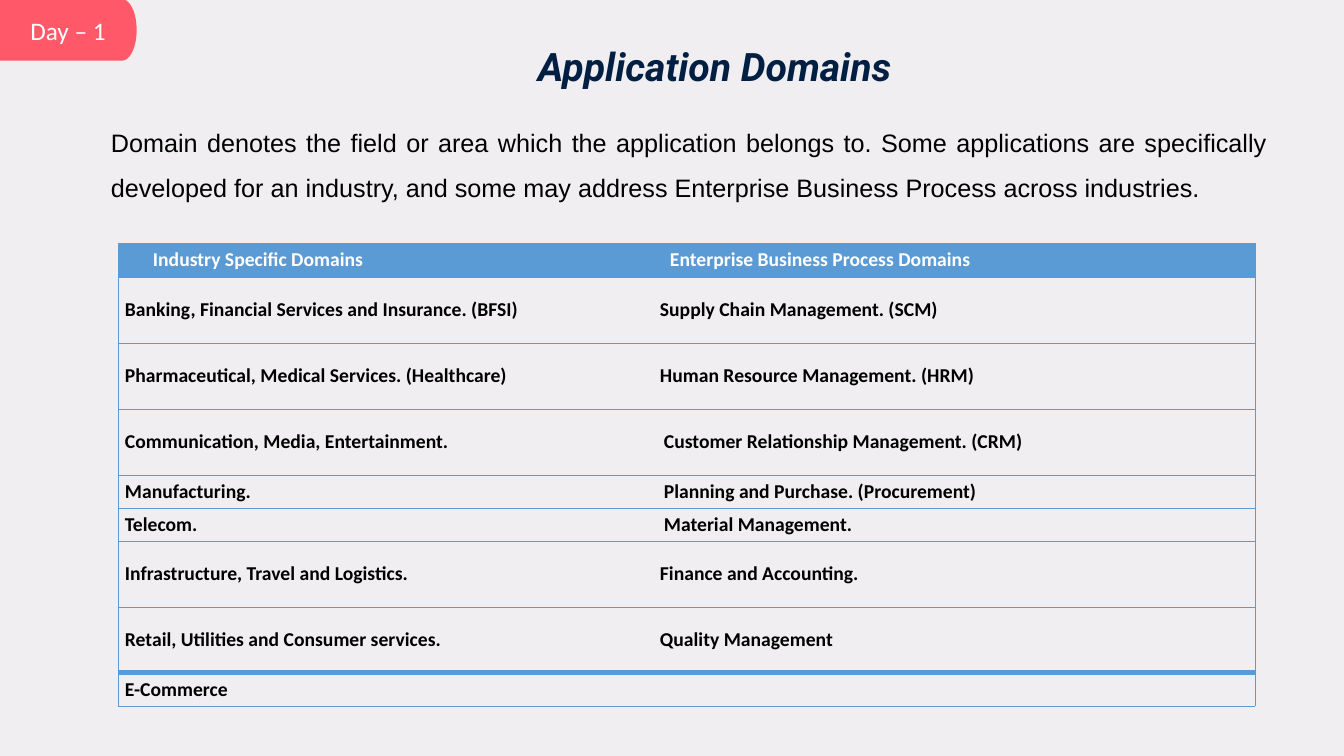
from dataclasses import dataclass
from math import cos, pi, sin

from lxml.etree import SubElement
from pptx import Presentation
from pptx.dml.color import RGBColor
from pptx.enum.text import MSO_ANCHOR, PP_ALIGN
from pptx.oxml.ns import qn
from pptx.util import Emu, Pt

PX_PER_INCH = 100.8


@dataclass(frozen=True)
class Theme:
    background: str = "F0EEF0"
    tab: str = "FF5969"
    title: str = "011F43"
    text: str = "000000"
    light: str = "FFFFFF"
    blue: str = "5B9BD5"
    title_size: int = 28
    body_size: int = 18
    table_size: int = 14
    thin: float = 0.5
    thick: float = 4


T = Theme()

HEADER = ("Industry Specific Domains", "Enterprise Business Process Domains")
HEADER_INDENTS = (35, 13)
COLUMN_WIDTHS = (539, 598)
# row height, industry domain, process domain, process indent
DOMAINS = [
    (66, "Banking, Financial Services and Insurance. (BFSI)", "Supply Chain Management. (SCM)", 3),
    (66, "Pharmaceutical, Medical Services. (Healthcare)", "Human Resource Management. (HRM)", 3),
    (66, "Communication, Media, Entertainment.", "Customer Relationship Management. (CRM)", 7),
    (33, "Manufacturing.", "Planning and Purchase. (Procurement)", 7),
    (33, "Telecom.", "Material Management.", 7),
    (66, "Infrastructure, Travel and Logistics.", "Finance and Accounting.", 3),
    (66, "Retail, Utilities and Consumer services.", "Quality Management", 3),
    (33, "E-Commerce", "", 7),
]


def px(n):
    return Emu(round(n * 914400 / PX_PER_INCH))


def rgb(color):
    return RGBColor.from_string(color)


def write(tf, text, color, font, indent=0, align=PP_ALIGN.LEFT, spacing=None):
    """Fill the first paragraph; font holds the run's format values."""
    p = tf.paragraphs[0]
    p.alignment, p.line_spacing = align, spacing
    p._p.get_or_add_pPr().set("marL", str(px(indent)))
    r = p.add_run()
    r.text = text
    for name, value in font.items():
        setattr(r.font, name, value)
    r.font.color.rgb = rgb(color)


def add_day_tab(slide, x, y, w, h):
    """Tab whose right end is half an ellipse."""
    bulge, steps = 14, 24
    angles = [-pi / 2 + pi * i / steps for i in range(steps + 1)]
    curve = [(px(x + w - bulge + bulge * cos(a)), px(y + h / 2 + h / 2 * sin(a)))
             for a in angles]
    builder = slide.shapes.build_freeform(px(x), px(y))
    builder.add_line_segments(curve + [(px(x), px(y + h))], close=True)
    sp = builder.convert_to_shape()
    sp.shadow.inherit = False
    sp.fill.solid()
    sp.fill.fore_color.rgb = sp.line.color.rgb = rgb(T.tab)
    sp.line.width = Pt(1)
    sp.text_frame.vertical_anchor = MSO_ANCHOR.MIDDLE
    write(sp.text_frame, "Day – 1", T.light,
          {"name": "Calibri", "size": Pt(T.body_size)}, align=PP_ALIGN.CENTER)


def add_text(slide, x, y, w, h, *args, **kwargs):
    tf = slide.shapes.add_textbox(px(x), px(y), px(w), px(h)).text_frame
    tf.word_wrap = True
    write(tf, *args, **kwargs)


def set_borders(cell, widths):
    """Draw left, right, top and bottom borders; a width of 0 hides one."""
    tcPr = cell._tc.get_or_add_tcPr()
    for side, width in zip("LRTB", widths):
        ln = SubElement(tcPr, qn(f"a:ln{side}"), w=str(Pt(width)))
        if width:
            fill = SubElement(ln, qn("a:solidFill"))
            SubElement(fill, qn("a:srgbClr"), val=T.blue)
        else:
            SubElement(ln, qn("a:noFill"))


def fill_cell(cell, text, indent, borders, is_header):
    margins = ("margin_left", "margin_right", "margin_top", "margin_bottom")
    for name in margins:
        setattr(cell, name, 0)
    cell.vertical_anchor = MSO_ANCHOR.MIDDLE
    set_borders(cell, borders)
    if is_header:
        cell.fill.solid()
        cell.fill.fore_color.rgb = rgb(T.blue)
    else:
        cell.fill.background()
    if text:
        write(cell.text_frame, text, T.light if is_header else T.text,
              {"name": "Calibri", "size": Pt(T.table_size), "bold": True}, indent,
              spacing=None if is_header else 0.96)


def add_domain_table(slide, x, y):
    rows = [(34, HEADER, HEADER_INDENTS)]
    rows += [(h, (left, right), (7, indent)) for h, left, right, indent in DOMAINS]
    height = sum(row[0] for row in rows)
    table = slide.shapes.add_table(len(rows), 2, px(x), px(y),
                                   px(sum(COLUMN_WIDTHS)), px(height)).table
    table.first_row = table.horz_banding = False
    for column, width in zip(table.columns, COLUMN_WIDTHS):
        column.width = px(width)

    rules = [T.thin] * (len(rows) + 1)
    rules[-2] = T.thick
    for i, (height, texts, indents) in enumerate(rows):
        table.rows[i].height = px(height)
        for j, (text, indent) in enumerate(zip(texts, indents)):
            sides = (T.thin, 0) if j == 0 else (0, T.thin)
            fill_cell(table.cell(i, j), text, indent,
                      (*sides, rules[i], rules[i + 1]), i == 0)


def build_domains_slide(prs):
    slide = prs.slides.add_slide(prs.slide_layouts[6])
    slide.background.fill.solid()
    slide.background.fill.fore_color.rgb = rgb(T.background)
    add_day_tab(slide, 0, 0, 136, 60)
    add_text(slide, 293, 37, 843, 58, "Application Domains", T.title,
             {"name": "Roboto", "size": Pt(T.title_size), "bold": True, "italic": True},
             align=PP_ALIGN.CENTER)
    add_text(slide, 89, 107, 1188, 102,
             "Domain denotes the field or area which the application belongs to. "
             "Some applications are specifically developed for an industry, and some "
             "may address Enterprise Business Process across industries.",
             T.text, {"name": "Arial", "size": Pt(T.body_size)},
             indent=12, align=PP_ALIGN.JUSTIFY, spacing=1.5)
    add_domain_table(slide, 118, 243)


def main():
    prs = Presentation()
    prs.slide_width, prs.slide_height = px(1344), px(756)
    build_domains_slide(prs)
    prs.save("out.pptx")


if __name__ == "__main__":
    main()
